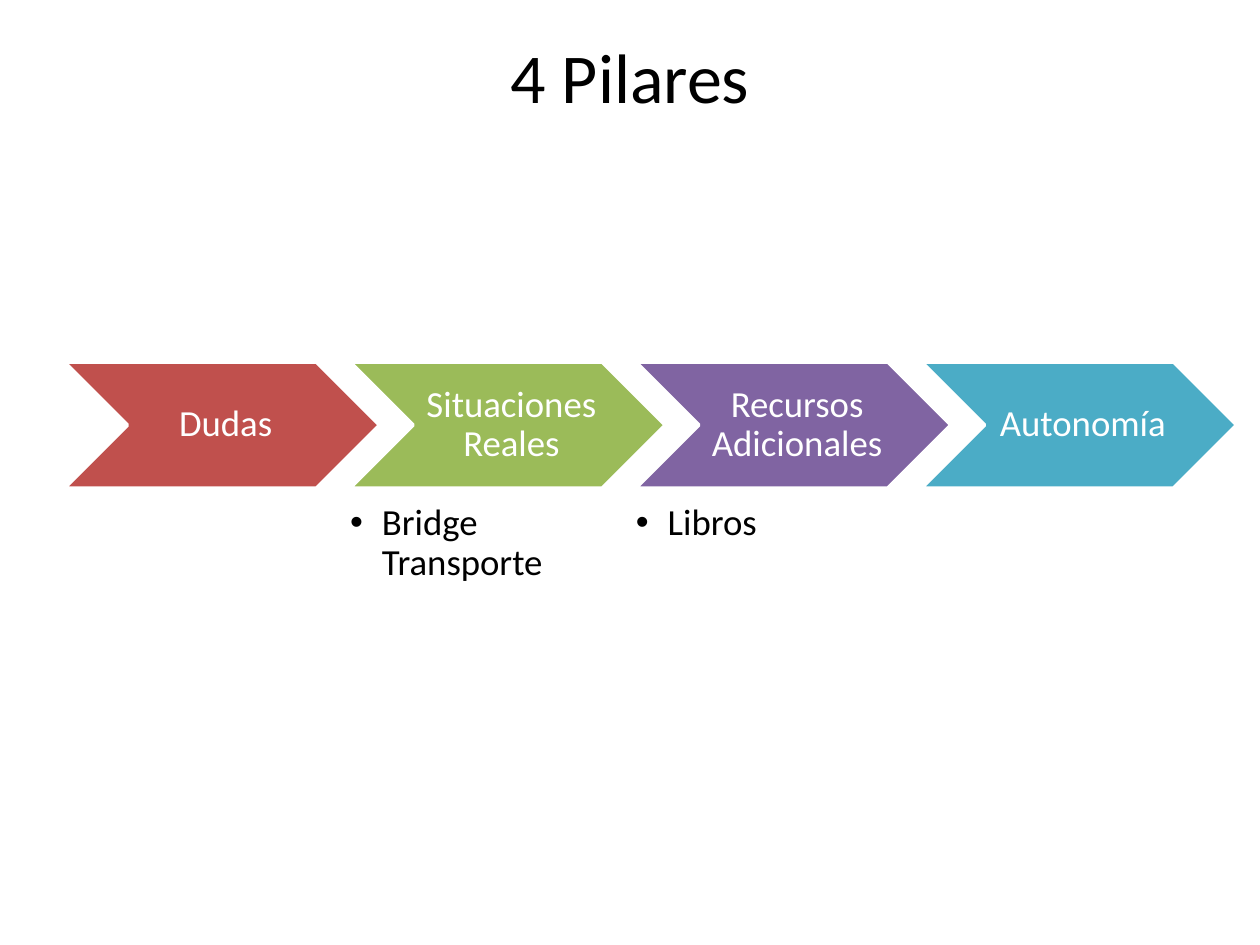
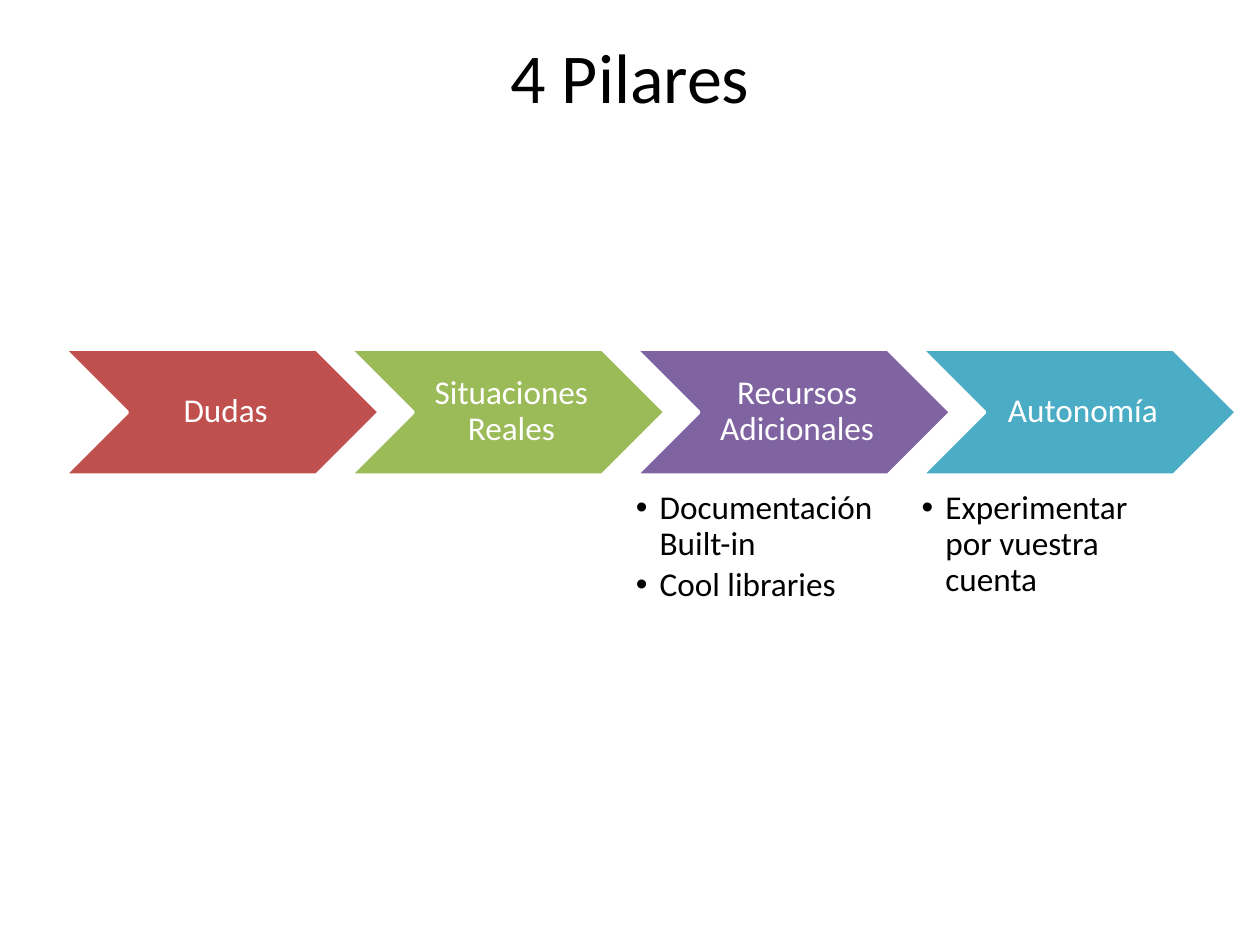
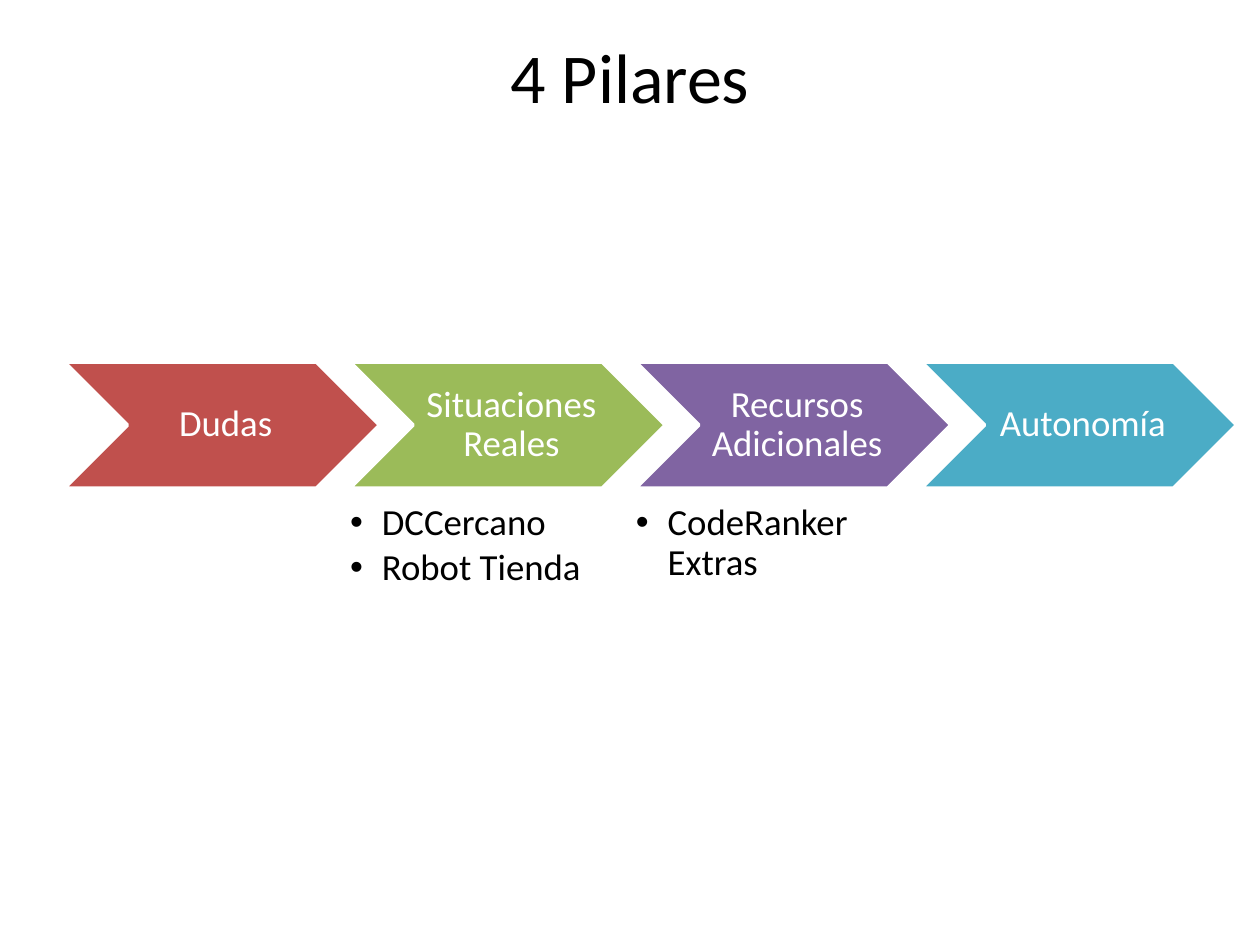
"""Build three slides that review the four pillars of a course."""
from lxml import etree
from pptx import Presentation
from pptx import util as u
from pptx.dml import color
from pptx.enum import shapes, text
from pptx.oxml import ns

FONT = "Calibri"
INK = "000000"
WHITE = "FFFFFF"
TITLE = "4 Pilares"
PILLARS = [
    ("Dudas", "C0504D"),
    ("Situaciones Reales", "9BBB59"),
    ("Recursos Adicionales", "8064A2"),
    ("Autonomía", "4BACC6"),
]
LEFT, STEP = 1.3, 5.76
WIDE, HIGH = 6.35, 2.54
DROP = 2.86

SLIDES = [
    {"top": 7.3, "size": 21, "hang": 0.64,
     "notes": {1: ["Bridge Transporte"], 2: ["Libros"]}},
    {"top": 7.04, "size": 19, "hang": 0.48,
     "notes": {2: ["Documentación Built-in", "Cool libraries"],
               3: ["Experimentar por vuestra cuenta"]}},
    {"top": 7.3, "size": 21, "hang": 0.64,
     "notes": {1: ["DCCercano", "Robot Tienda"], 2: ["CodeRanker Extras"]}},
]


def rgb(code):
    """Turn a hex string into a colour."""
    return color.RGBColor.from_string(code)


def add_run(para, words, size, ink):
    """Add one run of text in the deck's font."""
    run = para.add_run()
    run.text = words
    run.font.name = FONT
    run.font.size = u.Pt(size)
    run.font.color.rgb = rgb(ink)


def set_frame(frame, insets, anchor):
    """Set wrapping, insets in centimetres and the vertical anchor."""
    frame.word_wrap = True
    frame.vertical_anchor = anchor
    left, top, right, bottom = map(u.Cm, insets)
    frame.margin_left, frame.margin_top = left, top
    frame.margin_right, frame.margin_bottom = right, bottom


def add_title(slide):
    """Place and fill the title."""
    title = slide.shapes.title
    title.left, title.top = u.Cm(1.27), u.Cm(0.25)
    title.width, title.height = u.Cm(22.86), u.Cm(2.54)
    title.text_frame.vertical_anchor = text.MSO_ANCHOR.MIDDLE
    para = title.text_frame.paragraphs[0]
    para.alignment = text.PP_ALIGN.CENTER
    add_run(para, TITLE, 40, INK)


def add_pillar(slide, left, top, name, fill, size):
    """Draw one chevron with its name inside."""
    arrow = slide.shapes.add_shape(
        shapes.MSO_SHAPE.CHEVRON, u.Cm(left), u.Cm(top), u.Cm(WIDE), u.Cm(HIGH))
    arrow.shadow.inherit = False
    arrow.fill.solid()
    arrow.fill.fore_color.rgb = rgb(fill)
    arrow.line.color.rgb = rgb(WHITE)
    arrow.line.width = u.Pt(2)
    set_frame(arrow.text_frame, (0.22, 0.07, 0.07, 0.07), text.MSO_ANCHOR.MIDDLE)
    para = arrow.text_frame.paragraphs[0]
    para.alignment = text.PP_ALIGN.CENTER
    para.line_spacing = 0.9
    add_run(para, name, size, WHITE)


def add_bullet(para, hang):
    """Give a paragraph a round bullet and a hanging indent."""
    props = para._p.get_or_add_pPr()
    props.set("marL", str(u.Cm(hang)))
    props.set("indent", str(-u.Cm(hang)))
    etree.SubElement(props, ns.qn("a:buFont"), typeface="Arial")
    etree.SubElement(props, ns.qn("a:buChar"), char="•")


def add_notes(slide, left, top, items, size, hang):
    """Write the bulleted points below a chevron."""
    box = slide.shapes.add_textbox(u.Cm(left), u.Cm(top), u.Cm(5.08), u.Cm(2))
    frame = box.text_frame
    set_frame(frame, (0, 0, 0, 0), text.MSO_ANCHOR.TOP)
    for num, item in enumerate(items):
        para = frame.add_paragraph() if num else frame.paragraphs[0]
        add_bullet(para, hang)
        para.line_spacing = 0.9
        para.space_after = u.Pt(3)
        add_run(para, item, size, INK)


def add_slide(deck, top, size, hang, notes):
    """Add a slide with the four pillars and their points."""
    slide = deck.slides.add_slide(deck.slide_layouts[5])
    add_title(slide)
    for num, (name, fill) in enumerate(PILLARS):
        left = LEFT + num * STEP
        add_pillar(slide, left, top, name, fill, size)
        if num in notes:
            add_notes(slide, left, top + DROP, notes[num], size, hang)


def main():
    """Build and save the deck."""
    deck = Presentation()
    deck.slide_width, deck.slide_height = u.Cm(25.4), u.Cm(19.05)
    for page in SLIDES:
        add_slide(deck, **page)
    deck.save("out.pptx")


if __name__ == "__main__":
    main()
